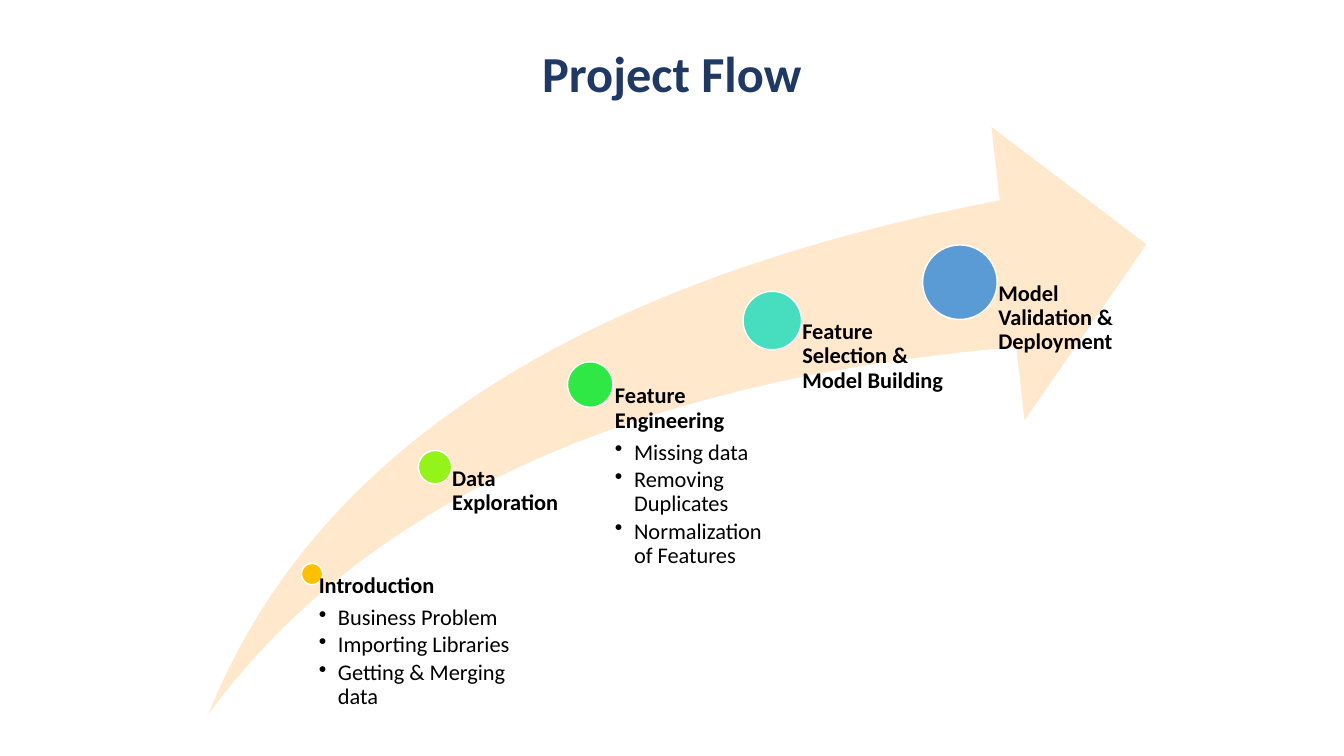
from lxml.etree import SubElement
from pptx import Presentation
from pptx.dml.color import RGBColor as RGB
from pptx.enum.shapes import MSO_SHAPE as SHAPE
from pptx.enum.text import MSO_ANCHOR as ANCHOR, PP_ALIGN as ALIGN
from pptx.oxml.ns import qn
from pptx.util import Inches, Pt

NAVY = RGB(0x20, 0x38, 0x64)
PEACH = RGB(0xFF, 0xE8, 0xCC)
AMBER = RGB(0xFF, 0xC0, 0x00)
LIME = RGB(0x94, 0xF3, 0x19)
GREEN = RGB(0x30, 0xE8, 0x45)
TEAL = RGB(0x46, 0xDE, 0xBF)
BLUE = RGB(0x5B, 0x9B, 0xD5)
WHITE = RGB(0xFF, 0xFF, 0xFF)
BLACK = RGB(0x00, 0x00, 0x00)

prs = Presentation()
prs.slide_width, prs.slide_height = Inches(13.33), Inches(7.5)
col, row = prs.slide_width / 100, prs.slide_height / 100
s = prs.slides.add_slide(prs.slide_layouts[6])


def add_filled(shapes, kind, x, y, w, h, color):
    sp = shapes.add_shape(kind, int(x), int(y), int(w), int(h))
    sp.shadow.inherit = False
    sp.fill.solid()
    sp.fill.fore_color.rgb = color
    return sp


def add_text(p, text, size, color, bold):
    p.line_spacing = 0.9
    r = p.add_run()
    r.text = text
    r.font.name = "Calibri"
    r.font.size = Pt(size)
    r.font.bold = bold
    r.font.color.rgb = color


title = s.shapes.add_textbox(int(33.83 * col), int(5.73 * row),
                             int(32.33 * col), int(8.67 * row))
tf = title.text_frame
tf.word_wrap = True
tf.vertical_anchor = ANCHOR.MIDDLE
tf.paragraphs[0].alignment = ALIGN.CENTER
add_text(tf.paragraphs[0], "Project Flow", 36, NAVY, True)

flow = s.shapes.add_group_shape().shapes
arrow_top, arrow_bottom = 16.8, 94.4
arrow = add_filled(flow, SHAPE.SWOOSH_ARROW, 15.53 * col, arrow_top * row,
                   69.77 * col, (arrow_bottom - arrow_top) * row, PEACH)
arrow.adjustments[0] = arrow.adjustments[1] = 0.25
arrow.line.fill.background()

# center x, center y, diameter, text left, text width
stages = [
    (23.22, 75.93, 1.58, 22.88, 15.98, AMBER, "Introduction",
     ["Business Problem", "Importing Libraries", "Getting & Merging data"]),
    (32.37, 61.8, 2.48, 32.33, 11.55, LIME, "Data Exploration", []),
    (43.92, 50.87, 3.38, 43.96, 13.5, GREEN, "Feature Engineering",
     ["Missing data", "Removing Duplicates", "Normalization of Features"]),
    (57.46, 42.4, 4.35, 57.39, 13.95, TEAL,
     "Feature Selection & Model Building", []),
    (71.42, 37.33, 5.55, 71.34, 13.95, BLUE,
     "Model Validation & Deployment", []),
]

for cx, cy, size, left, width, color, heading, bullets in stages:
    d = size * col
    dot = add_filled(flow, SHAPE.OVAL, cx * col - d / 2, cy * row - d / 2,
                     d, d, color)
    dot.line.color.rgb = WHITE
    dot.line.width = Pt(1)

    box = flow.add_textbox(int(left * col), int(cy * row), int(width * col),
                           int((arrow_bottom - cy) * row))
    tf = box.text_frame
    tf.word_wrap = True
    tf.margin_left = int(0.53 * d)
    tf.margin_top = tf.margin_right = tf.margin_bottom = 0
    p = tf.paragraphs[0]
    add_text(p, heading, 16, BLACK, True)
    p.space_after = Pt(5.6)

    for bullet in bullets:
        p = tf.add_paragraph()
        p.level = 1
        add_text(p, bullet, 16, BLACK, False)
        p.space_after = Pt(2.4)
        pPr = p._p.get_or_add_pPr()
        pPr.set("marL", str(Inches(0.19)))
        pPr.set("indent", str(-Inches(0.19)))
        SubElement(pPr, qn("a:buChar")).set("char", "•")

prs.save("out.pptx")
